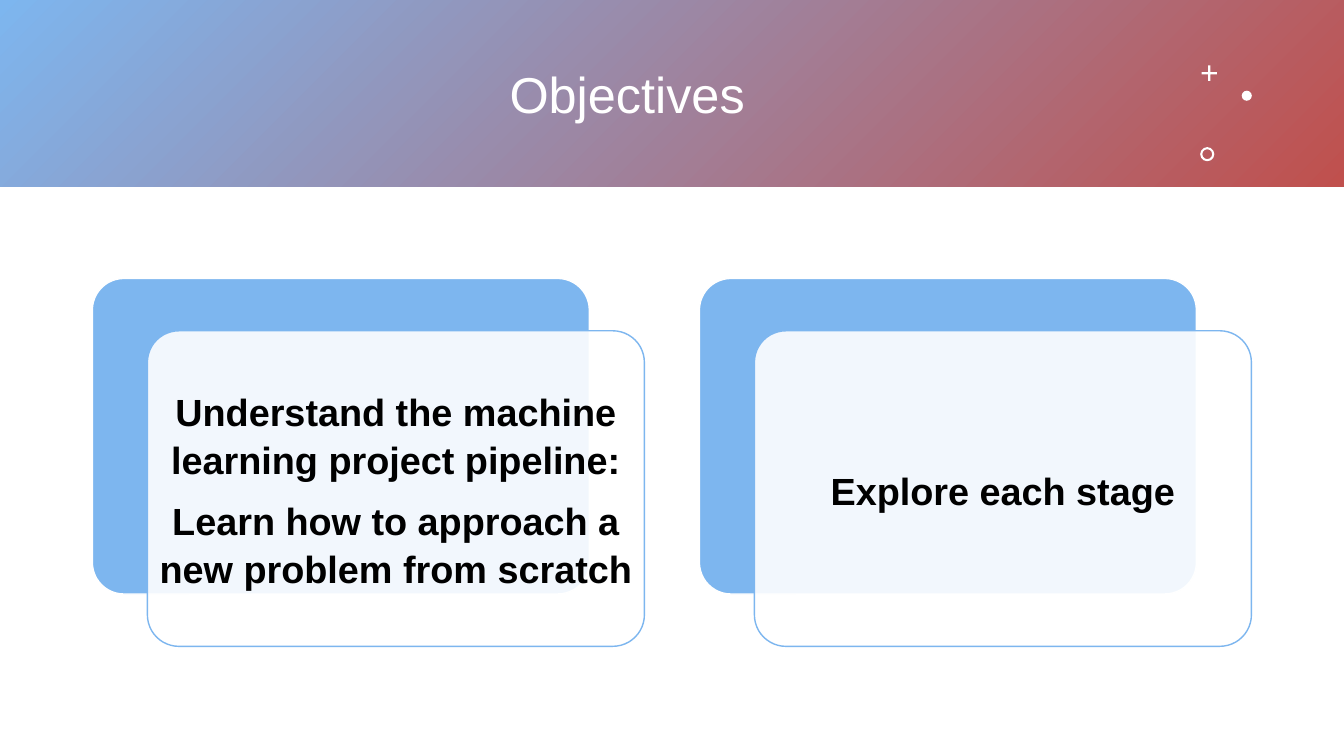
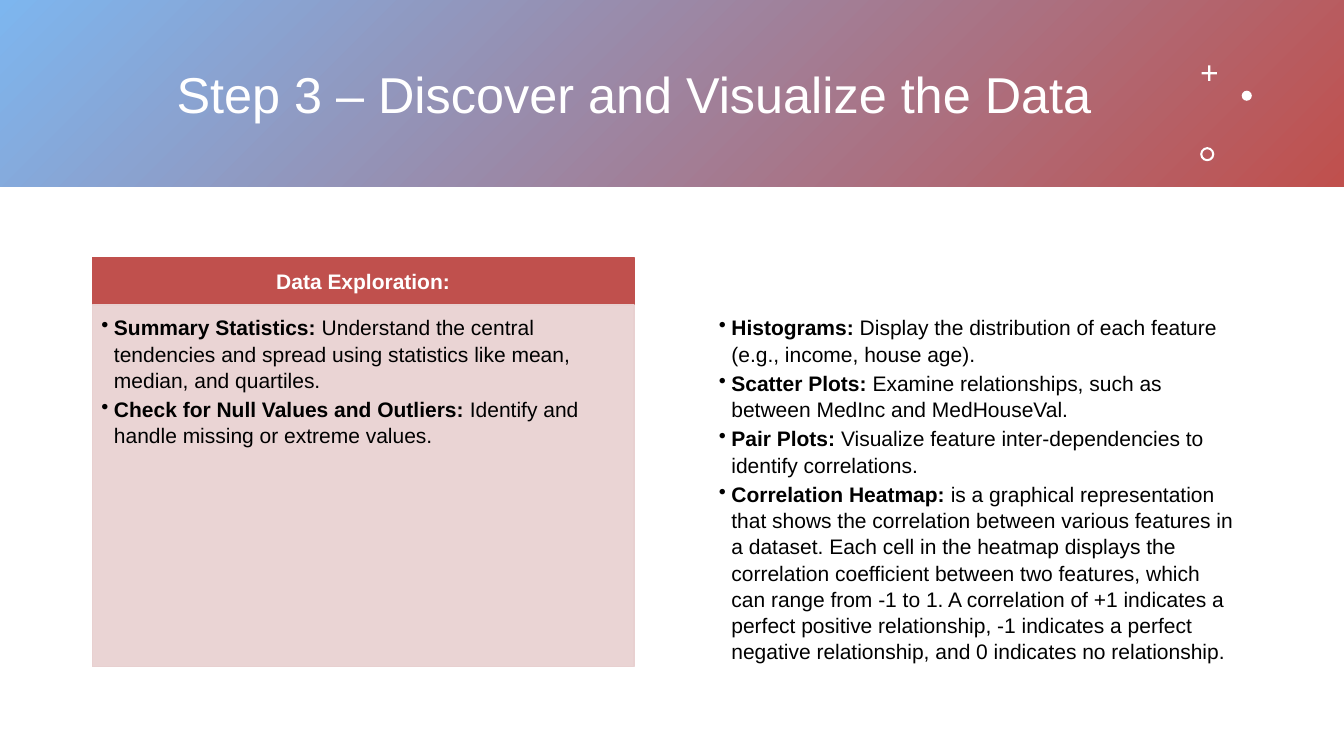
"""Build two slides that share a gradient title band: objectives and data exploration."""
from dataclasses import dataclass

from lxml import etree
from pptx import Presentation
from pptx.dml.color import RGBColor
from pptx.enum.shapes import MSO_SHAPE
from pptx.enum.text import MSO_ANCHOR, PP_ALIGN
from pptx.oxml.ns import qn
from pptx.shapes.autoshape import Shape
from pptx.slide import Slide
from pptx.util import Pt

RECTANGLE, ROUNDED = MSO_SHAPE.RECTANGLE, MSO_SHAPE.ROUNDED_RECTANGLE
CROSS, OVAL, DONUT = MSO_SHAPE.CROSS, MSO_SHAPE.OVAL, MSO_SHAPE.DONUT
CENTER, LEFT = PP_ALIGN.CENTER, PP_ALIGN.LEFT
MIDDLE, TOP = MSO_ANCHOR.MIDDLE, MSO_ANCHOR.TOP
BLANK_LAYOUT = 6


@dataclass(frozen=True)
class Theme:
    font: str = "Arial"
    blue: str = "7DB6EF"
    red: str = "C0504D"
    pink: str = "E8D0D0"
    white: str = "FFFFFF"
    black: str = "000000"
    title_size: float = 36
    card_size: float = 27
    body_size: float = 15


@dataclass(frozen=True)
class Frame:
    left: float
    top: float
    width: float
    height: float

    def moved(self, right: float, down: float = 0) -> "Frame":
        return Frame(self.left + right, self.top + down, self.width, self.height)


@dataclass(frozen=True)
class Mark:
    kind: MSO_SHAPE
    frame: Frame
    adjustment: float | None = None


@dataclass(frozen=True)
class Span:
    text: str
    bold: bool = False


@dataclass(frozen=True)
class Panel:
    heading: str
    color: str
    items: tuple[tuple[str, str], ...]


THEME = Theme()
PAGE_WIDTH, PAGE_HEIGHT = 960, 540
BAND = Frame(0, 0, PAGE_WIDTH, 133.2)
TITLE = Frame(66, 24, 774, 85.7)
MARKS = (
    Mark(CROSS, Frame(858.3, 46.8, 11, 11), 0.43),
    Mark(OVAL, Frame(887, 64.8, 7.2, 7.2)),
    Mark(DONUT, Frame(857.3, 105.1, 10.1, 10.1), 0.15),
)
CARD = Frame(66, 198.9, 355, 225.4)
CARD_PITCH = 433.6
CARD_OFFSET = (39.3, 37.4)
HEADER = Frame(66, 183.8, 386.8, 34)
BODY = Frame(66, 217.8, 386.8, 258.5)
PANEL_PITCH = 441

CARDS = (
    (
        "Understand the machine learning project pipeline:",
        "Learn how to approach a new problem from scratch",
    ),
    ("Explore each stage",),
)
PANELS = (
    Panel("Data Exploration:", THEME.pink, (
        ("Summary Statistics: ", "Understand the central tendencies and spread using "
         "statistics like mean, median, and quartiles."),
        ("Check for Null Values and Outliers: ", "Identify and handle missing or extreme values."),
    )),
    Panel("", THEME.white, (
        ("Histograms: ", "Display the distribution of each feature (e.g., income, house age)."),
        ("Scatter Plots: ", "Examine relationships, such as between MedInc and MedHouseVal."),
        ("Pair Plots: ", "Visualize feature inter-dependencies to identify correlations."),
        ("Correlation Heatmap: ", "is a graphical representation that shows the correlation "
         "between various features in a dataset. Each cell in the heatmap displays the "
         "correlation coefficient between two features, which can range from -1 to 1. "
         "A correlation of +1 indicates a perfect positive relationship, -1 indicates a "
         "perfect negative relationship, and 0 indicates no relationship."),
    )),
)


def add_box(page: Slide, kind: MSO_SHAPE, frame: Frame, *, fill: str,
            line: str | None = None, adjustment: float | None = None,
            opacity: int = 100) -> Shape:
    """Draw a filled preset shape, outlined when a line colour is given."""
    box = page.shapes.add_shape(
        kind, Pt(frame.left), Pt(frame.top), Pt(frame.width), Pt(frame.height))
    box.shadow.inherit = False
    box.fill.solid()
    box.fill.fore_color.rgb = RGBColor.from_string(fill)
    if opacity < 100:
        color = box.fill._xPr.find(qn("a:solidFill"))[0]
        etree.SubElement(color, qn("a:alpha"), val=str(opacity * 1000))
    if line:
        box.line.color.rgb = RGBColor.from_string(line)
        box.line.width = Pt(1)
    else:
        box.line.fill.background()
    if adjustment is not None:
        box.adjustments[0] = adjustment
    return box


def write_text(box: Shape, paragraphs: list[list[Span]], *, size: float, color: str,
               align: PP_ALIGN = CENTER, anchor: MSO_ANCHOR = MIDDLE,
               margins: tuple[float, float, float, float] = (7.2, 3.6, 7.2, 3.6),
               line_spacing: float = 1.0, space_after: float = 0,
               bullet_indent: float = 0) -> None:
    """Fill a box with formatted paragraphs; margins run left, top, right, bottom."""
    frame = box.text_frame
    frame.word_wrap = True
    frame.vertical_anchor = anchor
    (frame.margin_left, frame.margin_top,
     frame.margin_right, frame.margin_bottom) = map(Pt, margins)
    for index, spans in enumerate(paragraphs):
        para = frame.add_paragraph() if index else frame.paragraphs[0]
        para.alignment = align
        para.line_spacing = line_spacing
        para.space_after = Pt(space_after)
        if bullet_indent:
            properties = para._p.get_or_add_pPr()
            properties.set("marL", str(Pt(bullet_indent)))
            properties.set("indent", str(-Pt(bullet_indent)))
            etree.SubElement(properties, qn("a:buChar"), char="•")
        for span in spans:
            run = para.add_run()
            run.text = span.text
            run.font.name = THEME.font
            run.font.size = Pt(size)
            run.font.bold = span.bold
            run.font.color.rgb = RGBColor.from_string(color)


def add_page(deck: Presentation, title: str) -> Slide:
    """Add a page with the gradient band, its title and the corner marks."""
    page = deck.slides.add_slide(deck.slide_layouts[BLANK_LAYOUT])
    band = add_box(page, RECTANGLE, BAND, fill=THEME.blue)
    band.fill.gradient()
    band.fill.gradient_angle = 315
    for stop, color in zip(band.fill.gradient_stops, (THEME.blue, THEME.red)):
        stop.color.rgb = RGBColor.from_string(color)
    box = page.shapes.add_textbox(
        Pt(TITLE.left), Pt(TITLE.top), Pt(TITLE.width), Pt(TITLE.height))
    write_text(box, [[Span(title)]], size=THEME.title_size, color=THEME.white)
    for mark in MARKS:
        add_box(page, mark.kind, mark.frame, fill=THEME.white, adjustment=mark.adjustment)
    return page


def add_card(page: Slide, frame: Frame, texts: tuple[str, ...]) -> None:
    """Draw a blue card with an offset white card that holds the text."""
    add_box(page, ROUNDED, frame, fill=THEME.blue, line=THEME.white, adjustment=0.1)
    front = add_box(page, ROUNDED, frame.moved(*CARD_OFFSET), fill=THEME.white,
                    line=THEME.blue, adjustment=0.1, opacity=90)
    write_text(front, [[Span(text, bold=True)] for text in texts], size=THEME.card_size,
               color=THEME.black, margins=(1, 1, 1, 1), line_spacing=1.06, space_after=9)


def add_panel(page: Slide, panel: Panel, shift: float) -> None:
    """Draw a bulleted panel, with a header bar when it has a heading."""
    if panel.heading:
        header = add_box(page, RECTANGLE, HEADER.moved(shift), fill=THEME.red, line=THEME.red)
        write_text(header, [[Span(panel.heading, bold=True)]],
                   size=THEME.body_size, color=THEME.white)
    body = add_box(page, RECTANGLE, BODY.moved(shift), fill=panel.color,
                   line=panel.color, opacity=90)
    write_text(body, [[Span(term, bold=True), Span(detail)] for term, detail in panel.items],
               size=THEME.body_size, color=THEME.black, align=LEFT, anchor=TOP,
               margins=(6.4, 6.4, 8.5, 9.6), line_spacing=1.04, space_after=2.25,
               bullet_indent=9)


def main() -> None:
    """Build and save the deck."""
    deck = Presentation()
    deck.slide_width, deck.slide_height = Pt(PAGE_WIDTH), Pt(PAGE_HEIGHT)
    objectives = add_page(deck, "Objectives ")
    for index, texts in enumerate(CARDS):
        add_card(objectives, CARD.moved(index * CARD_PITCH), texts)
    exploration = add_page(deck, "Step 3 – Discover and Visualize the Data")
    for index, panel in enumerate(PANELS):
        add_panel(exploration, panel, index * PANEL_PITCH)
    deck.save("out.pptx")


if __name__ == "__main__":
    main()
